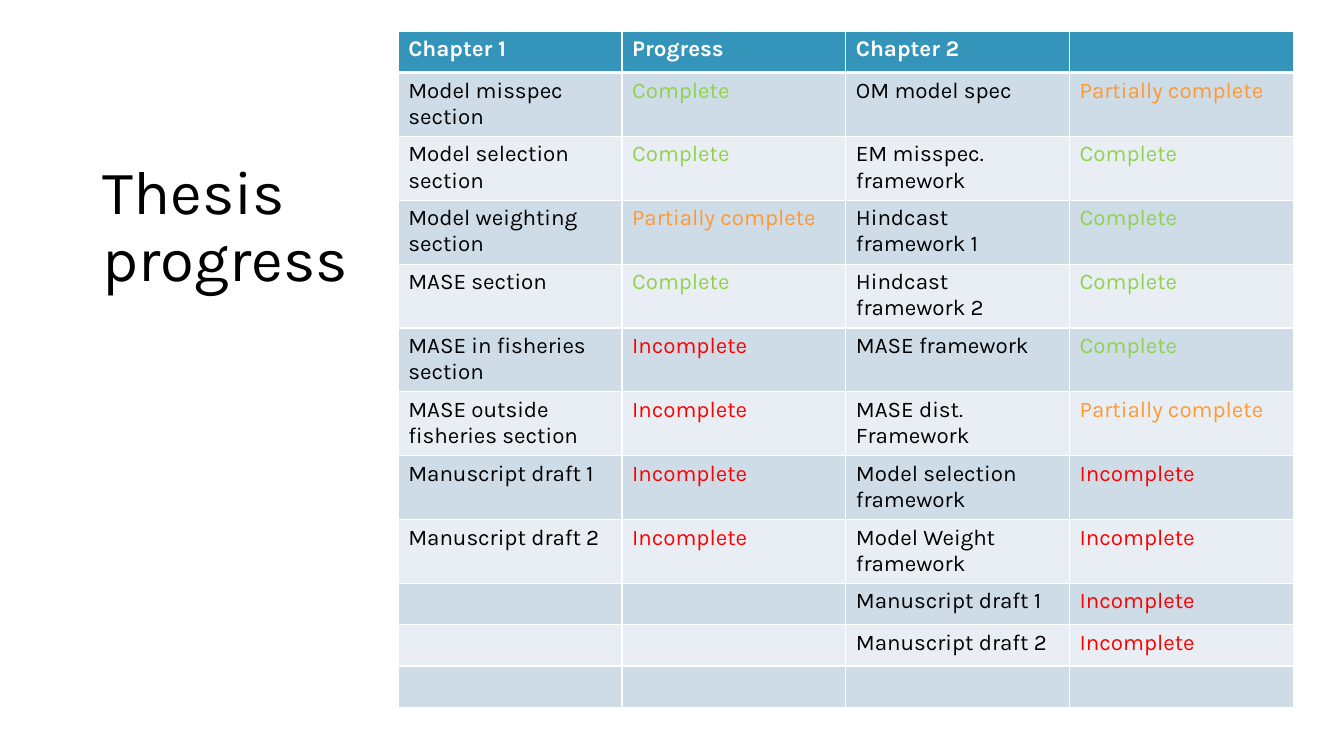
from lxml.etree import SubElement
from pptx import Presentation
from pptx.dml.color import RGBColor
from pptx.enum.text import MSO_ANCHOR
from pptx.oxml.ns import qn
from pptx.util import Inches, Pt

DONE, PARTIAL, OPEN = "Complete", "Partially complete", "Incomplete"
STATUS_COLORS = {DONE: "92D050", PARTIAL: "FF9933", OPEN: "FF0000"}
HEADER_FILL = "3494BA"
BAND_FILLS = ("E8EEF3", "CEDCE7")

PROGRESS = [
    ("Chapter 1", "Progress", "Chapter 2", ""),
    ("Model misspec section", DONE, "OM model spec", PARTIAL),
    ("Model selection section", DONE, "EM misspec. framework", DONE),
    ("Model weighting section", PARTIAL, "Hindcast framework 1", DONE),
    ("MASE section", DONE, "Hindcast framework 2", DONE),
    ("MASE in fisheries section", OPEN, "MASE framework", DONE),
    ("MASE outside fisheries section", OPEN, "MASE dist. Framework", PARTIAL),
    ("Manuscript draft 1", OPEN, "Model selection framework", OPEN),
    ("Manuscript draft 2", OPEN, "Model Weight framework", OPEN),
    ("", "", "Manuscript draft 1", OPEN),
    ("", "", "Manuscript draft 2", OPEN),
    ("", "", "", ""),
]


def rgb(color):
    return RGBColor.from_string(color)


class ThesisSlide:
    font = "Karla"
    text_color = "000000"
    line_color = "FFFFFF"

    def __init__(self, prs):
        self.s = prs.slides.add_slide(prs.slide_layouts[6])

    def style(self, p, size, color, bold=False):
        for r in p.runs:
            r.font.name = self.font
            r.font.size = Pt(size)
            r.font.bold = bold
            r.font.color.rgb = rgb(color)

    def title(self, text, left, top, width, height):
        sp = self.s.shapes.add_textbox(
            Inches(left), Inches(top), Inches(width), Inches(height))
        tf = sp.text_frame
        tf.word_wrap = True
        tf.vertical_anchor = MSO_ANCHOR.MIDDLE
        tf.text = text
        p = tf.paragraphs[0]
        p.line_spacing = 0.9
        self.style(p, 44, self.text_color)

    def border(self, cell, side, width):
        tc_pr = cell._tc.get_or_add_tcPr()
        ln = SubElement(tc_pr, qn(f"a:ln{side}"), w=str(Pt(width)))
        fill = SubElement(ln, qn("a:solidFill"))
        SubElement(fill, qn("a:srgbClr"), val=self.line_color)

    def table(self, rows, left, top, col_width, row_height):
        columns = len(rows[0])
        frame = self.s.shapes.add_table(
            len(rows), columns, Inches(left), Inches(top),
            Inches(col_width * columns), Inches(row_height * len(rows)))
        table = frame.table
        for column in table.columns:
            column.width = Inches(col_width)
        for i, row in enumerate(rows):
            table.rows[i].height = Inches(row_height)
            for j, text in enumerate(row):
                self.cell(table.cell(i, j), text, i)

    def cell(self, cell, text, row):
        header = row == 0
        widths = {"L": 1, "R": 1, "T": 3 if row == 1 else 1, "B": 3 if header else 1}
        for side, width in widths.items():
            self.border(cell, side, width)
        cell.fill.solid()
        cell.fill.fore_color.rgb = rgb(HEADER_FILL if header else BAND_FILLS[row % 2])
        if text:
            cell.text_frame.text = text
            color = self.line_color if header else STATUS_COLORS.get(text, self.text_color)
            self.style(cell.text_frame.paragraphs[0], 16, color, header)


def main():
    prs = Presentation()
    prs.slide_width, prs.slide_height = Inches(13.33), Inches(7.5)
    slide = ThesisSlide(prs)
    slide.title("Thesis progress", 0.92, 0.4, 2.66, 3.73)
    slide.table(PROGRESS, 3.95, 0.31, 2.22, 0.41)
    prs.save("out.pptx")


if __name__ == "__main__":
    main()
